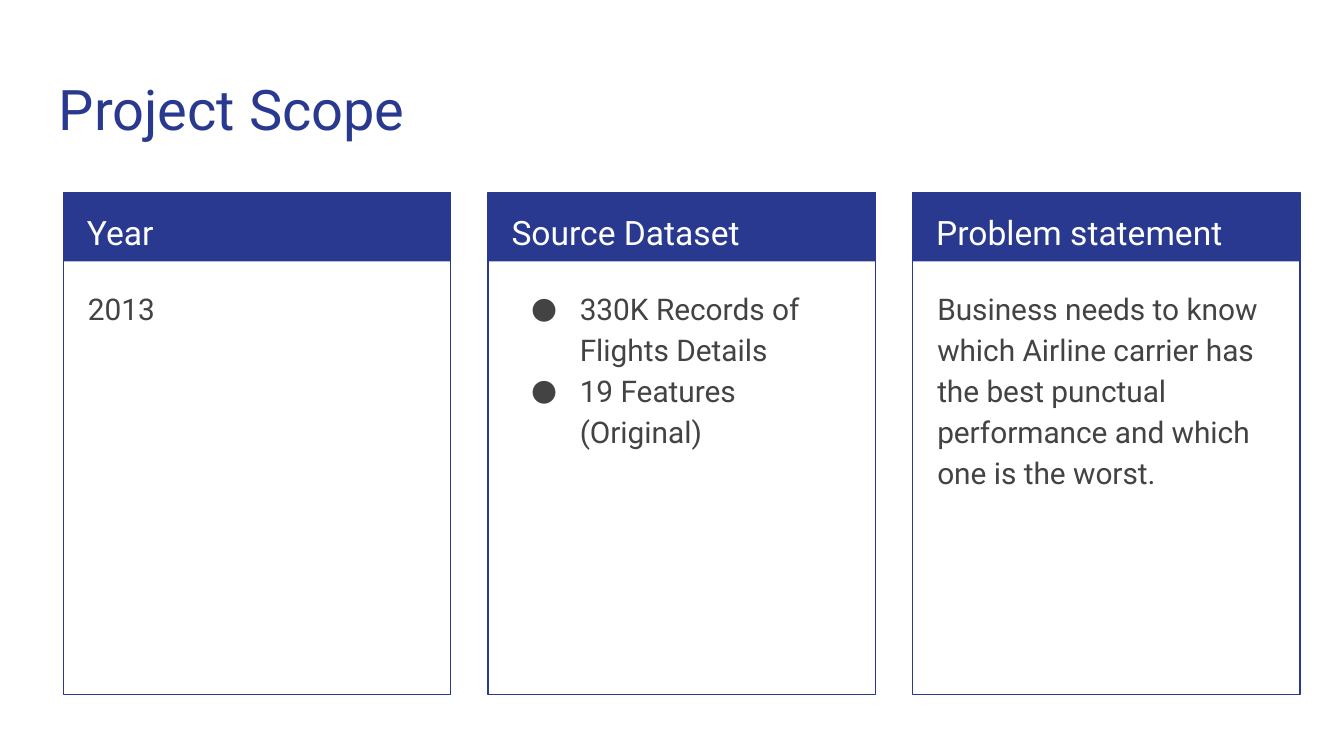
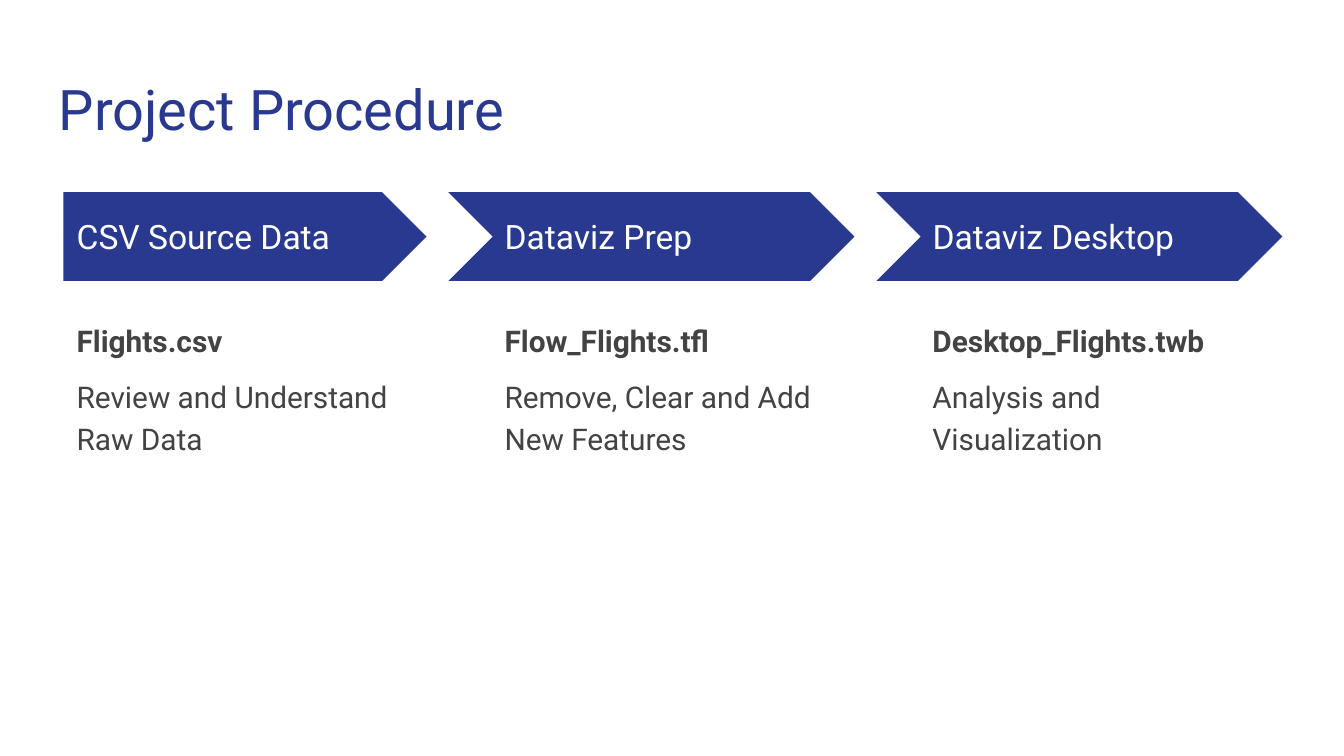
from dataclasses import dataclass

from lxml.etree import SubElement
from pptx import Presentation
from pptx.dml.color import RGBColor
from pptx.enum.shapes import MSO_SHAPE as Preset
from pptx.enum.text import MSO_ANCHOR as Anchor
from pptx.oxml.ns import qn
from pptx.util import Pt

BLUE, GREY, WHITE = "2A3990", "434343", "FFFFFF"
LEFT, TOP = 34, 103


def color(value):
    """Turn a hex string into a colour."""
    return RGBColor.from_string(value)


@dataclass
class Line:
    """One paragraph with its formatting."""
    text: str
    size: float = 16
    ink: str = GREY
    bold: bool = False
    spacing: float = 1.15
    before: float = 0
    after: float = 0
    bullet: bool = False


class Builder:
    """Hold the deck style and the current slide."""

    font = "Roboto"

    def __init__(self, width, height):
        """Start an empty deck of the given size."""
        self.deck = Presentation()
        self.deck.slide_width, self.deck.slide_height = Pt(width), Pt(height)
        self.page = None

    def new_page(self, title):
        """Add a blank slide with the shared title."""
        self.page = self.deck.slides.add_slide(self.deck.slide_layouts[6])
        self.page.background.fill.solid()
        self.page.background.fill.fore_color.rgb = color(WHITE)
        self.text(24.5, 32.5, 671, 47.5, [Line(title, 30, BLUE, spacing=1)])

    def shape(self, preset, left, top, width, height, fill=None, line=None):
        """Add a preset shape with an optional fill and outline."""
        shape = self.page.shapes.add_shape(preset, Pt(left), Pt(top), Pt(width), Pt(height))
        shape.shadow.inherit = False
        if fill:
            shape.fill.solid()
            shape.fill.fore_color.rgb = color(fill)
        else:
            shape.fill.background()
        if line:
            shape.line.color.rgb = color(line)
            shape.line.width = Pt(0.75)
        else:
            shape.line.fill.background()

    def text(self, left, top, width, height, lines, anchor=Anchor.TOP):
        """Add a wrapped text box with one paragraph per line."""
        box = self.page.shapes.add_textbox(Pt(left), Pt(top), Pt(width), Pt(height))
        frame = box.text_frame
        frame.word_wrap = True
        frame.vertical_anchor = anchor
        frame.margin_left = frame.margin_right = Pt(7.2)
        frame.margin_top = frame.margin_bottom = Pt(7.2)
        frame.text = "\n".join(line.text for line in lines)
        for para, line in zip(frame.paragraphs, lines):
            para.line_spacing = line.spacing
            para.space_before, para.space_after = Pt(line.before), Pt(line.after)
            if line.bullet:
                self.bullet(para, line.ink)
            for span in para.runs:
                span.font.name, span.font.size = self.font, Pt(line.size)
                span.font.bold = line.bold
                span.font.color.rgb = color(line.ink)

    def bullet(self, para, ink):
        """Give a paragraph a hanging round bullet."""
        props = para._p.get_or_add_pPr()
        props.set("marL", str(Pt(36)))
        props.set("indent", str(-Pt(26)))
        SubElement(SubElement(props, qn("a:buClr")), qn("a:srgbClr"), val=ink)
        SubElement(props, qn("a:buFont"), typeface=self.font)
        SubElement(props, qn("a:buChar"), char="●")

    def card(self, left, heading, lines):
        """Add an outlined card with a filled heading band."""
        self.shape(Preset.RECTANGLE, left, TOP, 207.5, 37, fill=BLUE)
        self.shape(Preset.RECTANGLE, left, TOP, 207.5, 269, line=BLUE)
        self.text(left + 5.5, TOP, 196.5, 36, [Line(heading, 18, WHITE)])
        self.text(left + 6, 145.5, 195, 220.5, lines)

    def step(self, left, heading, file_name, task, notch):
        """Add an arrow step with a file name and a task below it."""
        preset = Preset.CHEVRON if notch else Preset.PENTAGON
        self.shape(preset, left - notch, TOP, 194.5 + notch, 47.5, fill=BLUE)
        self.text(left, 114.5, 178, 24.5, [Line(heading, 18, WHITE, spacing=1)], Anchor.MIDDLE)
        self.text(left, 163, 194.5, 209, [Line(file_name, bold=True), Line(task, before=8, after=8)])


def main():
    """Build both slides and save the deck."""
    builder = Builder(720, 405)

    builder.new_page("Project Scope")
    cards = [
        ("Year", [Line("2013", after=16)]),
        ("Source Dataset", [
            Line("330K Records of Flights Details", bullet=True),
            Line("19 Features (Original)", bullet=True),
        ]),
        ("Problem statement", [Line(
            "Business needs to know which Airline carrier has the best punctual "
            "performance and which one is the worst.", after=16)]),
    ]
    for index, (heading, lines) in enumerate(cards):
        builder.card(LEFT + 227.5 * index, heading, lines)

    builder.new_page("Project Procedure")
    steps = [
        ("CSV Source Data", "Flights.csv", "Review and Understand Raw Data"),
        ("Dataviz Prep", "Flow_Flights.tfl", "Remove, Clear and Add New Features"),
        ("Dataviz Desktop", "Desktop_Flights.twb", "Analysis and Visualization"),
    ]
    for index, (heading, file_name, task) in enumerate(steps):
        builder.step(LEFT + 229.25 * index, heading, file_name, task, 23 if index else 0)

    builder.deck.save("out.pptx")


if __name__ == "__main__":
    main()
